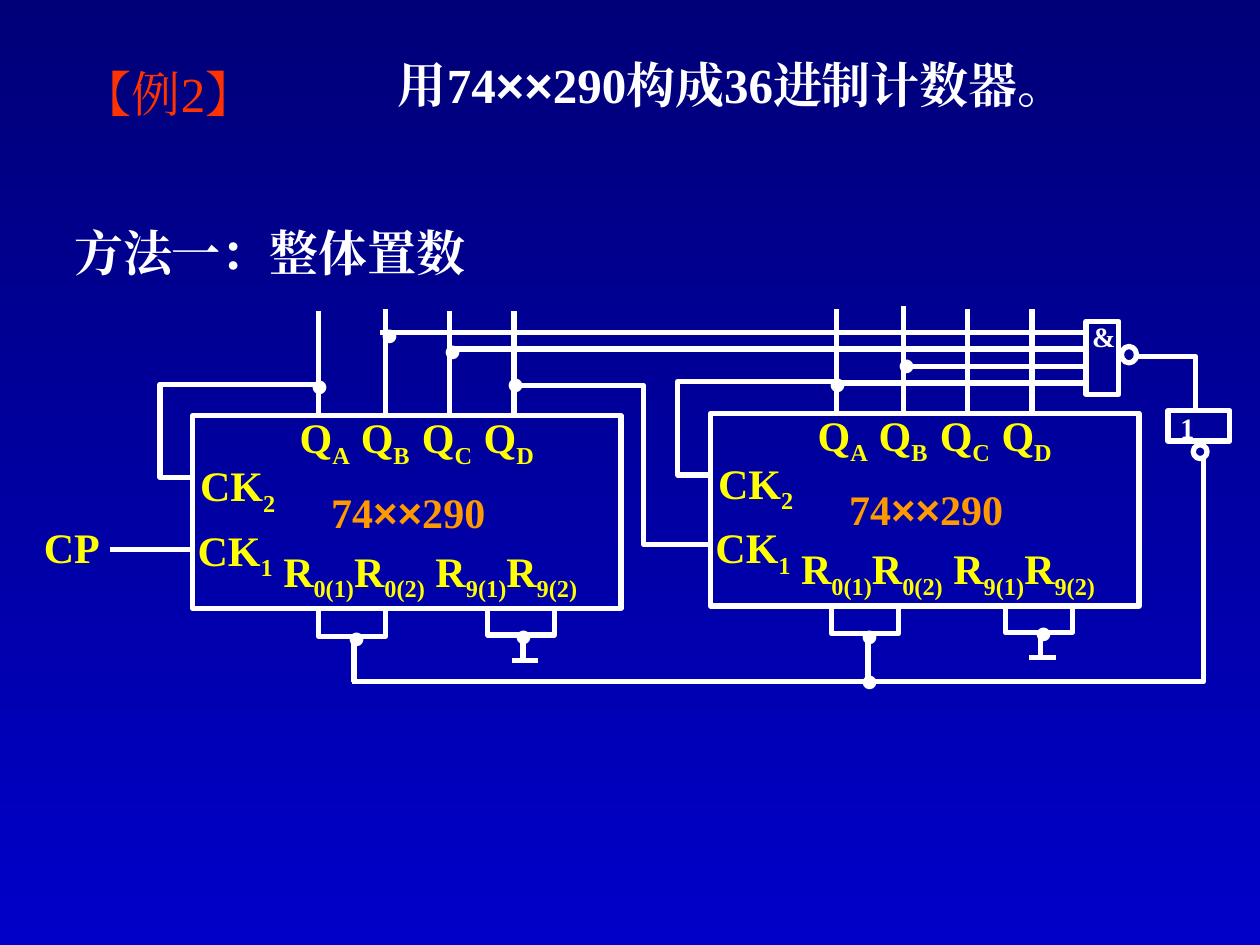
"""Build the slide showing a modulo-36 counter made from two 74××290 chips."""
from lxml import etree
from pptx import Presentation
from pptx import util as u
from pptx.dml.color import RGBColor
from pptx.enum import shapes, text
from pptx.oxml import ns

COLORS = {"top": "000078", "bottom": "0000C8", "white": "FFFFFF",
          "yellow": "FFFF00", "orange": "FF9900", "red": "FF3300"}

presentation = Presentation()
presentation.slide_width, presentation.slide_height = u.Inches(10), u.Inches(7.5)
column = presentation.slide_width // 100
row = presentation.slide_height // 75
slide = presentation.slides.add_slide(presentation.slide_layouts[6])

background = slide.background.fill
background.gradient()
background.gradient_angle = 270
for stop, key in zip(background.gradient_stops, ("top", "bottom")):
    stop.color.rgb = RGBColor.from_string(COLORS[key])


def add_label(label, left, top, width, height, size=24, color="yellow", bold=True):
    """Split label at bars: every second piece is a subscript or multiplication signs."""
    box = slide.shapes.add_textbox(int(left * column), int(top * row),
                                   int(width * column), int(height * row))
    frame = box.text_frame
    frame.word_wrap = True
    paragraph = frame.paragraphs[0]
    if "\t" in label:
        properties = paragraph._p.get_or_add_pPr()
        tabs = etree.SubElement(properties, ns.qn("a:tabLst"))
        for position in (4.85, 9.7, 14.6):
            etree.SubElement(tabs, ns.qn("a:tab"), pos=str(int(position * column)), algn="l")
    for index, piece in enumerate(label.split("|")):
        run = paragraph.add_run()
        run.text = piece
        font = run.font
        font.size, font.bold = u.Pt(size), bold
        font.color.rgb = RGBColor.from_string(COLORS[color])
        font.name = "Arial" if "×" in piece else "Times New Roman"
        etree.SubElement(font._element, ns.qn("a:ea"), typeface=font.name)
        if index % 2 and "×" not in piece:
            font._element.set("baseline", "-25000")
    return frame


def add_wire(*points):
    """Draw a line through grid points, as a connector when there are only two."""
    (x, y), *corners = [(int(x * column), int(y * row)) for x, y in points]
    if len(corners) == 1:
        wire = slide.shapes.add_connector(shapes.MSO_CONNECTOR.STRAIGHT, x, y, *corners[0])
        etree.SubElement(wire._element.spPr, ns.qn("a:effectLst"))
    else:
        builder = slide.shapes.build_freeform(x, y)
        builder.add_line_segments(corners, close=False)
        wire = builder.convert_to_shape()
        wire.fill.background()
        wire.shadow.inherit = False
    wire.line.color.rgb = RGBColor.from_string(COLORS["white"])
    wire.line.width = u.Pt(3)
    etree.SubElement(wire.line._ln, ns.qn("a:round"))


title = add_label("【例2】", 5.6, 4.6, 22.2, 5.5, 28, "red", False)
title.vertical_anchor = text.MSO_ANCHOR.MIDDLE
add_label("用74|××|290构成36进制计数器。", 30.6, 3.8, 64.3, 5.7, 28, "white")
add_label("方法一：整体置数", 4.9, 17.2, 40.6, 5.7, 28, "white")

chips = [(15.3, 33), (56.4, 32.8)]
rectangle, ellipse = shapes.MSO_SHAPE.RECTANGLE, shapes.MSO_SHAPE.OVAL
outlines = [(rectangle, x, y, 34, 15.3) for x, y in chips] + [
    (rectangle, 86.2, 25.5, 2.6, 5.8), (ellipse, 89, 27.5, 1.2, 1.3),
    (rectangle, 92.7, 32.6, 4.9, 2.4), (ellipse, 94.7, 35.3, 1.1, 1.1)]
for kind, left, top, width, height in outlines:
    shape = slide.shapes.add_shape(kind, int(left * column), int(top * row),
                                   int(width * column), int(height * row))
    shape.shadow.inherit = False
    shape.fill.background()
    shape.line.color.rgb = RGBColor.from_string(COLORS["white"])
    shape.line.width = u.Pt(3)

chip_labels = [
    ("CK|1", -0.6, 8.1, 11.5, 5.6, "yellow"),
    ("CK|2", -0.4, 3, 11.5, 5.6, "yellow"),
    ("Q|A|\tQ|B|\tQ|C|\tQ|D", 7.5, -0.8, 24.9, 5.6, "yellow"),
    ("74|××|290", 10, 5.1, 18.5, 5, "orange"),
    ("R|0(1)|R|0(2)| R|9(1)|R|9(2)", 6.2, 9.8, 29.6, 5.6, "yellow")]
chip_wires = [
    [(10, 0), (10, -8.3)], [(15.3, -0.2), (15.3, -8.5)],
    [(20.4, 0), (20.4, -8.3)], [(25.5, 0), (25.5, -8.3)],
    [(9.8, -2.5), (-2.6, -2.5), (-2.6, 4.9), (0, 4.9)],
    [(23.4, 15.3), (23.4, 17.4), (28.7, 17.4), (28.7, 15.3)],
    [(26.2, 17.4), (26.2, 19.4)], [(25.3, 19.4), (27.4, 19.4)]]
for chip_x, chip_y in chips:
    for label, x, y, width, height, color in chip_labels:
        add_label(label, chip_x + x, chip_y + y, width, height, color=color)
    for points in chip_wires:
        add_wire(*[(chip_x + x, chip_y + y) for x, y in points])

for x, y in [(25.3, 48.5), (66, 48.3)]:
    add_wire((x, y), (x, y + 2), (x + 5.3, y + 2), (x + 5.3, y))

add_label("CP", 2.5, 40.9, 8.5, 5)
add_wire((15.1, 43.6), (8.7, 43.6))
add_wire((40.6, 30.6), (51.1, 30.6), (51.1, 43.2), (56.4, 43.2))
for start, end, y in [(66.4, 86.4, 30.4), (71.7, 86.4, 29.1),
                      (35.7, 86.2, 27.7), (30.2, 86.2, 26.4)]:
    add_wire((start, y), (end, y))
add_wire((90.2, 28.3), (94.9, 28.3), (94.9, 32.4))
add_wire((95.5, 36.4), (95.5, 54.1), (27.9, 54.1))
add_wire((28.1, 50.7), (28.1, 54.1))
add_wire((68.9, 50.3), (68.9, 54.1))

junctions = [(23.6, 24.1), (39.8, 43.9), (64.7, 23.9), (81, 43.7), (39.1, 23.9), (29.1, 20),
             (70.2, 22.4), (34.1, 21.3), (26.5, 44.1), (67.2, 43.9), (67.2, 47.5)]
for x, y in junctions:
    add_label(".", x, y, 8.5, 9, 48, "white")
for label, x, y in [("&", 85.7, 24.9), ("1", 92.7, 32.1)]:
    add_label(label, x, y, 5.3, 3.7, 16, "white")

presentation.save("out.pptx")
